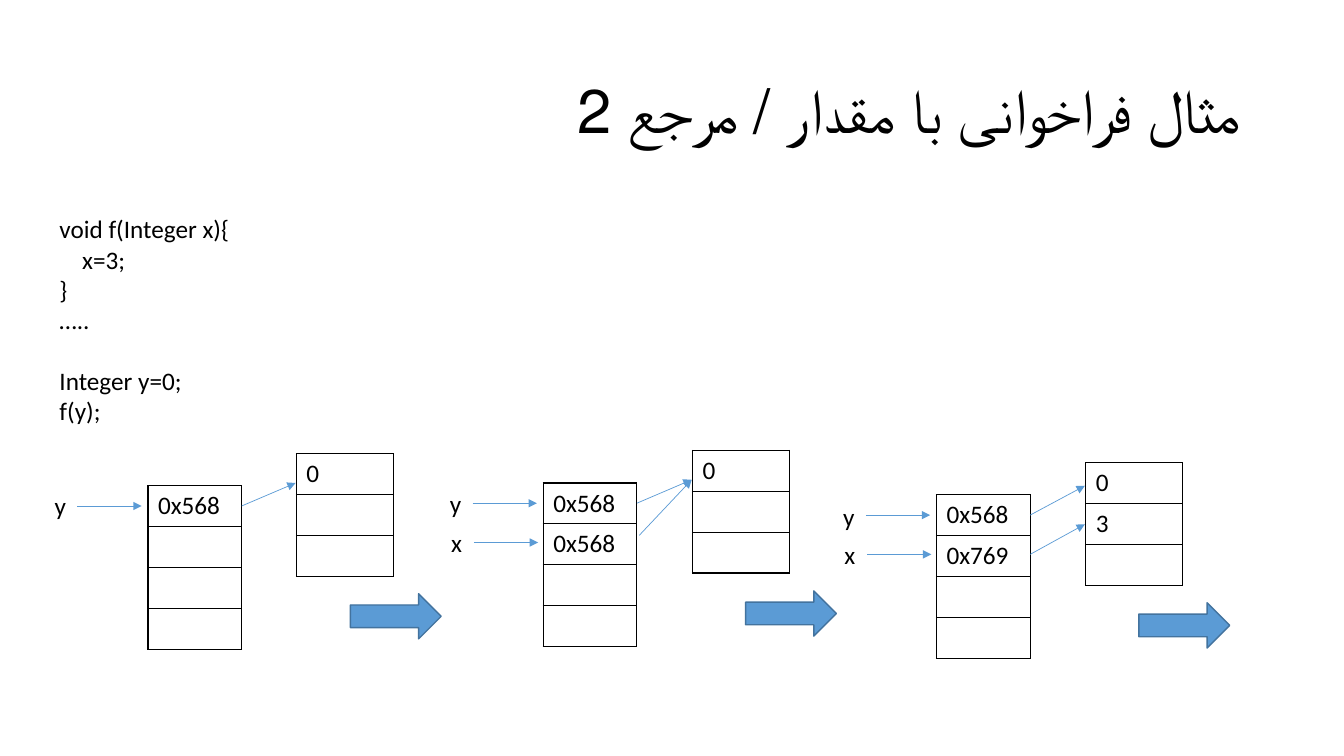
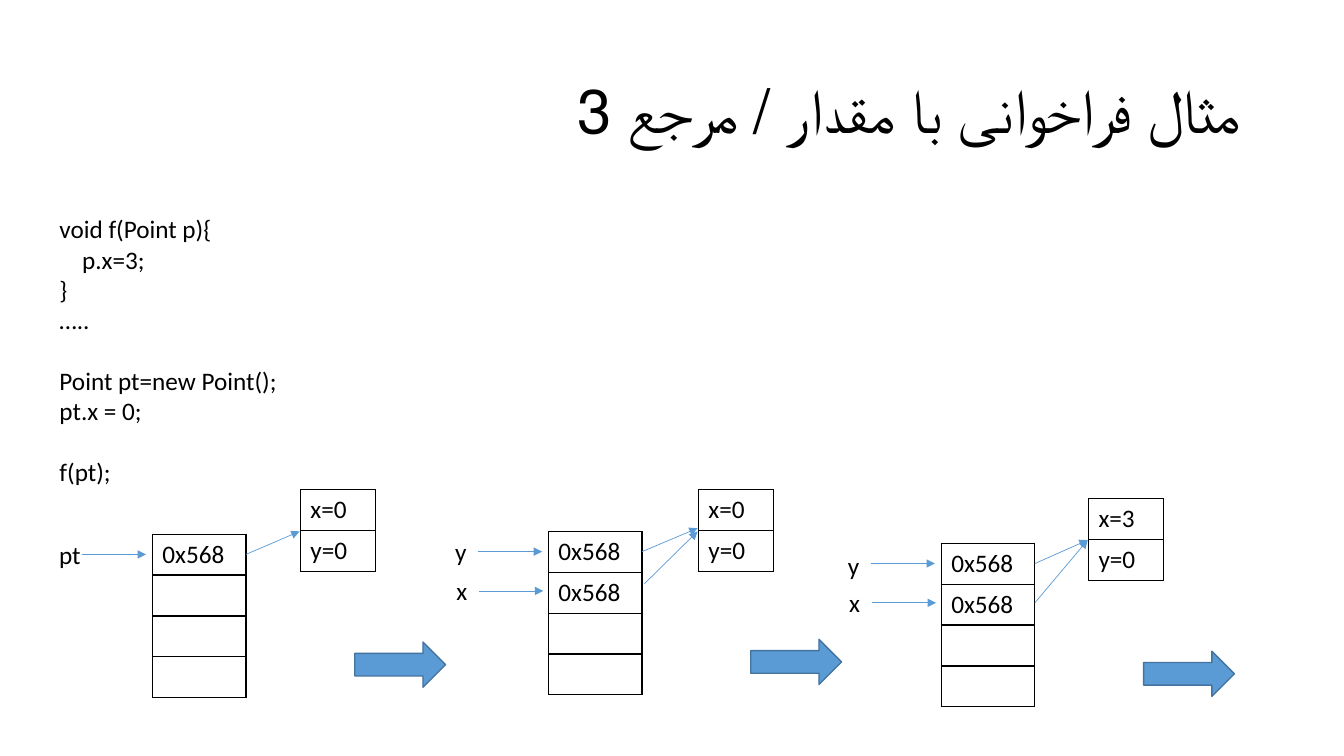
"""Build two slides that trace call by value and call by reference in memory."""
from dataclasses import dataclass

from lxml import etree
from pptx import Presentation
from pptx.dml.color import RGBColor
from pptx.enum.shapes import MSO_CONNECTOR, MSO_SHAPE
from pptx.enum.text import MSO_ANCHOR, PP_ALIGN
from pptx.oxml.ns import qn
from pptx.util import Cm, Pt

STRAIGHT = MSO_CONNECTOR.STRAIGHT
RIGHT_ARROW = MSO_SHAPE.RIGHT_ARROW
MIDDLE, TOP = MSO_ANCHOR.MIDDLE, MSO_ANCHOR.TOP
LEFT, RIGHT = PP_ALIGN.LEFT, PP_ALIGN.RIGHT


@dataclass(frozen=True)
class Theme:
    """Colours, font and type sizes of the deck."""
    font: str = "Calibri"
    ink: str = "000000"
    accent: str = "5B9BD5"
    accent_edge: str = "43739E"
    title_size: int = 44
    body_size: int = 18
    code_gap: int = 22


THEME = Theme()
ROW_HEIGHT = 1.03
STACK_WIDTH = 2.36
STACK_ROWS = 4
NAME_STEP = 0.99
NAME_SLANT = 0.03
HALF_ROW = 0.51
CODE_INDENT = 0.57
SHARED_SHIFT = (0.06, -0.18)

SLIDES = [
    {
        "title": "مثال فراخوانی با مقدار / مرجع 2",
        "code": [("void f(Integer x){", 0, 0), ("x=3;", 1, 0), ("}", 0, 0), ("…..", 0, 0),
                 ("Integer y=0;", 0, 1), ("f(y);", 0, 0)],
        "heap_width": 2.44,
        "stages": [
            {"stack": (3.73, 12.24), "names": [("y", 0)], "words": ["0x568"],
             "heap": (7.47, 11.43), "values": ["0", "", ""], "targets": [12.17]},
            {"stack": (13.69, 12.17), "names": [("y", 0), ("x", 0)],
             "words": ["0x568", "0x568"], "heap": (17.45, 11.35),
             "values": ["0", "", ""], "targets": [12.09, 12.09], "shift": SHARED_SHIFT},
            {"stack": (23.6, 12.47), "names": [("y", 0.05), ("x", 0)],
             "words": ["0x568", "0x769"], "heap": (27.36, 11.66),
             "values": ["0", "3", ""], "targets": [12.24, 13.21]},
        ],
    },
    {
        "title": "مثال فراخوانی با مقدار / مرجع 3",
        "code": [("void f(Point p){", 0, 0), ("p.x=3;", 1, 0), ("}", 0, 0), ("…..", 0, 0),
                 ("Point pt=new Point();", 0, 1), ("pt.x = 0;", 0, 0), ("f(pt);", 0, 1)],
        "heap_width": 1.9,
        "stages": [
            {"stack": (3.84, 13.46), "names": [("pt", 0)], "words": ["0x568"],
             "heap": (7.57, 12.34), "values": ["x=0", "y=0"], "targets": [13.39]},
            {"stack": (13.82, 13.39), "names": [("y", 0), ("x", 0)],
             "words": ["0x568", "0x568"], "heap": (17.6, 12.34),
             "values": ["x=0", "y=0"], "targets": [13.31, 13.39], "shift": SHARED_SHIFT},
            {"stack": (23.72, 13.69), "names": [("y", 0.05), ("x", 0)],
             "words": ["0x568", "0x568"], "heap": (27.43, 12.57),
             "values": ["x=3", "y=0"], "targets": [13.61, 13.61]},
        ],
    },
]


def colour(value):
    return RGBColor.from_string(value)


def write(frame, lines, *, size=THEME.body_size, align=LEFT, anchor=TOP,
          wrap=True, rtl=False, spacing=None):
    """Fill a text frame with (text, indent level, gap before) lines."""
    frame.word_wrap = wrap
    frame.vertical_anchor = anchor
    for index, (text, indent, gap) in enumerate(lines):
        paragraph = frame.add_paragraph() if index else frame.paragraphs[0]
        paragraph.alignment = align
        paragraph.space_before = Pt(gap * THEME.code_gap)
        if spacing:
            paragraph.line_spacing = spacing
        properties = paragraph._p.get_or_add_pPr()
        properties.set("marL", str(Cm(indent * CODE_INDENT)))
        if rtl:
            properties.set("rtl", "1")
        run = paragraph.add_run()
        run.text = text
        run.font.size = Pt(size)
        run.font.name = THEME.font
        run.font.color.rgb = colour(THEME.ink)


def add_text(slide, box, lines, **text_format):
    shape = slide.shapes.add_textbox(*map(Cm, box))
    write(shape.text_frame, lines, **text_format)


def add_border(cell_properties, index, side):
    line = etree.Element(qn(f"a:{side}"), w=str(Pt(1)))
    fill = etree.SubElement(line, qn("a:solidFill"))
    etree.SubElement(fill, qn("a:srgbClr"), val=THEME.ink)
    cell_properties.insert(index, line)


def add_memory(slide, origin, width, values):
    """Draw a one-column table of memory cells."""
    left, top = origin
    frame = slide.shapes.add_table(len(values), 1, Cm(left), Cm(top), Cm(width),
                                   Cm(ROW_HEIGHT * len(values)))
    table = frame.table
    table.first_row = table.horz_banding = False
    for row, value in enumerate(values):
        table.rows[row].height = Cm(ROW_HEIGHT)
        cell = table.cell(row, 0)
        cell.fill.background()
        if value:
            write(cell.text_frame, [(value, 0, 0)])
    for cell_element in frame.element.iter(qn("a:tc")):
        for index, side in enumerate(("lnL", "lnR", "lnT", "lnB")):
            add_border(cell_element.get_or_add_tcPr(), index, side)


def add_pointer(slide, start, end):
    connector = slide.shapes.add_connector(STRAIGHT, *map(Cm, (*start, *end)))
    connector.line.color.rgb = colour(THEME.accent)
    connector.line.width = Pt(0.5)
    properties = connector.element.spPr
    etree.SubElement(properties.find(qn("a:ln")), qn("a:tailEnd"), type="triangle")
    etree.SubElement(properties, qn("a:effectLst"))


def add_step_arrow(slide, left, top):
    shape = slide.shapes.add_shape(RIGHT_ARROW, Cm(left), Cm(top), Cm(2.29), Cm(1.14))
    shape.shadow.inherit = False
    shape.fill.solid()
    shape.fill.fore_color.rgb = colour(THEME.accent)
    shape.line.color.rgb = colour(THEME.accent_edge)
    shape.line.width = Pt(1)


def add_stage(slide, stage, heap_width):
    """Draw named variables, stack, heap and the arrow to the next stage."""
    left, top = stage["stack"]
    words = stage["words"]
    add_memory(slide, (left, top), STACK_WIDTH, words + [""] * (STACK_ROWS - len(words)))
    add_memory(slide, stage["heap"], heap_width, stage["values"])
    for row, ((name, drop), target) in enumerate(zip(stage["names"], stage["targets"])):
        name_top = top + row * NAME_STEP
        middle = name_top + HALF_ROW
        slant = row * NAME_SLANT
        name_width = 0.57 + 0.25 * len(name)
        add_text(slide, (left - 2.6 + slant, name_top + drop, name_width, 1.03),
                 [(name, 0, 0)], wrap=False)
        add_pointer(slide, (left - 1.78 + slant, middle), (left - 0.16 + slant, middle))
        shift_x, shift_y = stage.get("shift", (0, 0))
        add_pointer(slide, (left + STACK_WIDTH + row * shift_x, middle + row * shift_y),
                    (stage["heap"][0] - 0.02, target))
    add_step_arrow(slide, left + 5.1, top + 2.72)


def add_slide(presentation, content):
    slide = presentation.slides.add_slide(presentation.slide_layouts[6])
    add_text(slide, (2.33, 1.02, 29.21, 3.68), [(content["title"], 0, 0)],
             size=THEME.title_size, align=RIGHT, anchor=MIDDLE, rtl=True, spacing=0.9)
    add_text(slide, (1.25, 5.26, 8, 6.4), content["code"])
    for stage in content["stages"]:
        add_stage(slide, stage, content["heap_width"])


def main():
    presentation = Presentation()
    presentation.slide_width = Cm(33.87)
    presentation.slide_height = Cm(19.05)
    for content in SLIDES:
        add_slide(presentation, content)
    presentation.save("out.pptx")


if __name__ == "__main__":
    main()
